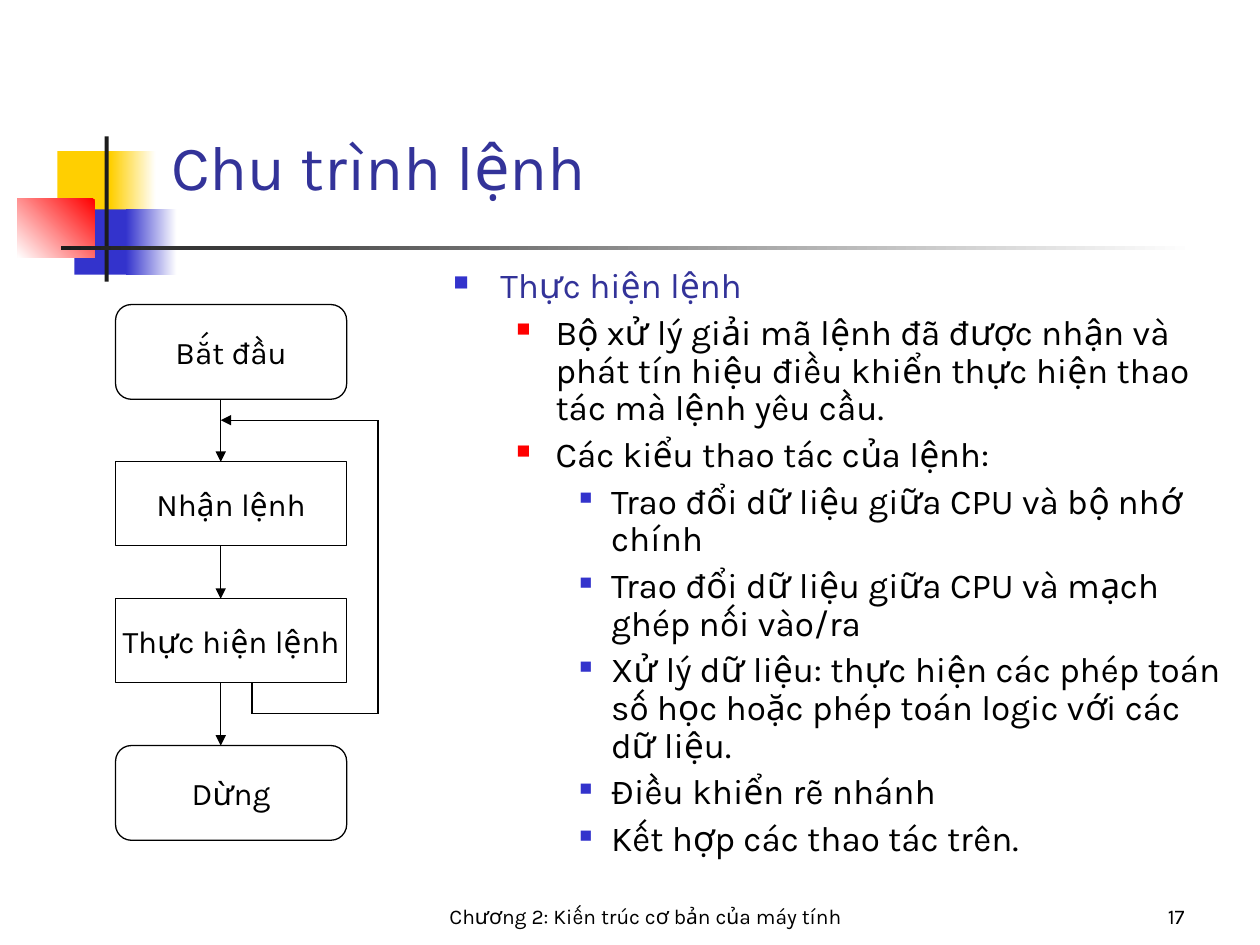
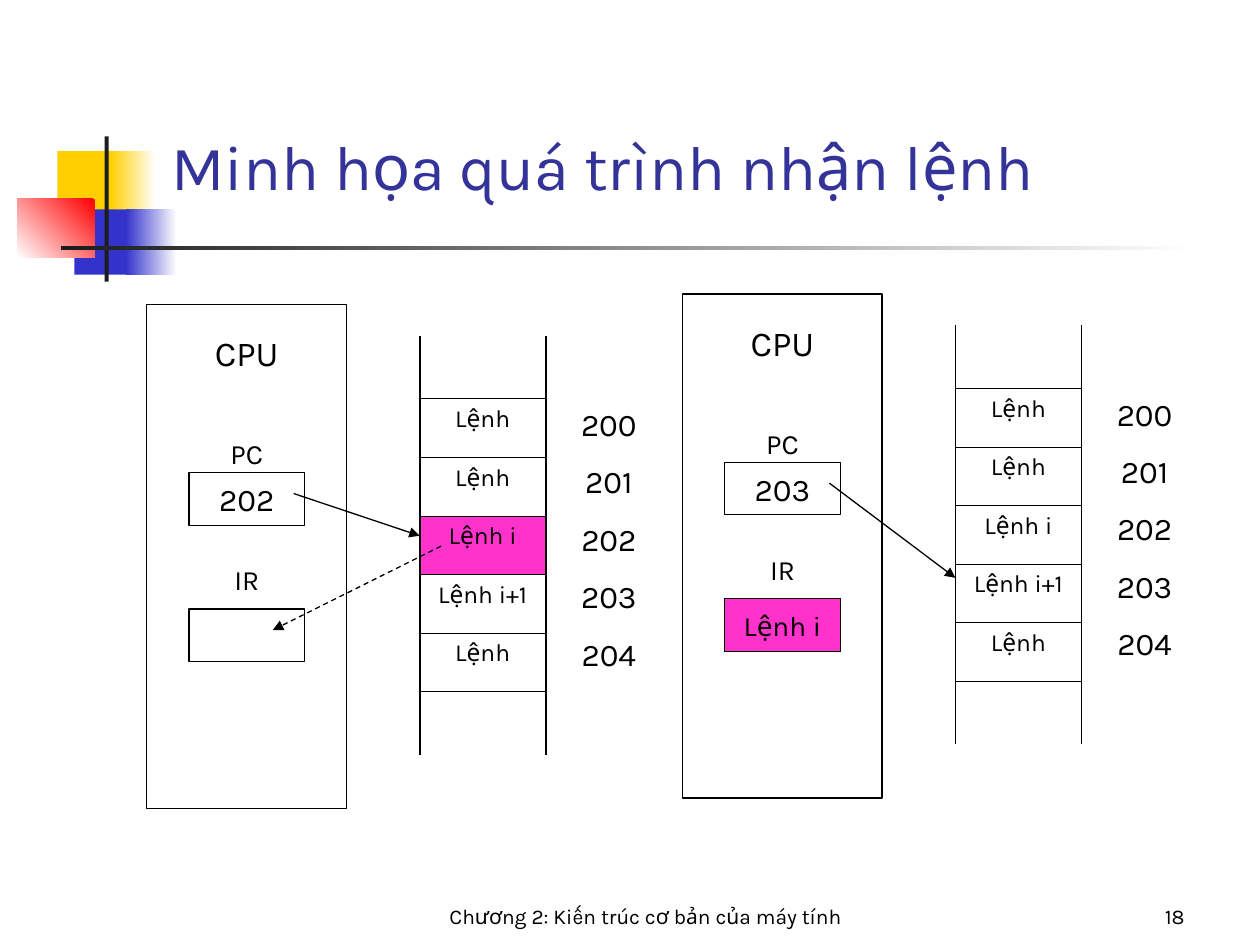
from itertools import pairwise

from lxml.etree import SubElement as Sub
from pptx import Presentation
from pptx.dml.color import RGBColor as RGB
from pptx.enum.dml import MSO_LINE as DASH
from pptx.enum.shapes import MSO_CONNECTOR as CONN, MSO_SHAPE as SHAPE
from pptx.enum.text import MSO_ANCHOR as ANCHOR, PP_ALIGN as ALIGN
from pptx.oxml.ns import qn
from pptx.util import Cm, Pt

FONT = "Karla"
INK = {
    "white": "FFFFFF", "black": "000000", "coal": "1C1C1C", "navy": "333399",
    "blue": "3333CC", "red": "FF0000", "gold": "FFCF01", "pink": "FF33CC",
}
FOOTER = "Chương 2: Kiến trúc cơ bản của máy tính"

# Left, top, width, height, colour and gradient angle (None is solid)
DECOR = [
    (1.16, 3.05, 1.22, 1.32, "gold", None),
    (2.23, 3.05, 0.91, 1.32, "gold", 0),
    (1.5, 4.22, 1.17, 1.32, "blue", None),
    (2.54, 4.22, 1.02, 1.32, "blue", 0),
    (0.35, 4.01, 1.56, 1.18, "red", 225),
    (2.11, 2.75, 0.08, 2.93, "coal", None),
    (1.23, 4.95, 22.86, 0.09, "coal", 0),
]

# Text colour, left margin, hanging indent, bullet colour and percent
LEVELS = [
    ("navy", 0.95, 0.95, "blue", 60),
    ("black", 2.06, 0.79, "red", 55),
    ("black", 3.18, 0.64, "blue", 50),
]

POINTS = [
    (0, "Thực hiện lệnh"),
    (1, "Bộ xử lý giải mã lệnh đã được nhận và phát tín hiệu "
        "điều khiển thực hiện thao tác mà lệnh yêu cầu."),
    (1, "Các kiểu thao tác của lệnh:"),
    (2, "Trao đổi dữ liệu giữa CPU và bộ nhớ chính"),
    (2, "Trao đổi dữ liệu giữa CPU và mạch ghép nối vào/ra"),
    (2, "Xử lý dữ liệu: thực hiện các phép toán số học "
        "hoặc phép toán logic với các dữ liệu."),
    (2, "Điều khiển rẽ nhánh"),
    (2, "Kết hợp các thao tác trên."),
]

# Flow steps: text, shape, top, height
STEPS = [
    ("Bắt đầu", SHAPE.ROUNDED_RECTANGLE, 6.14, 1.91),
    ("Nhận lệnh", SHAPE.RECTANGLE, 9.31, 1.69),
    ("Thực hiện lệnh", SHAPE.RECTANGLE, 12.07, 1.69),
    ("Dừng", SHAPE.ROUNDED_RECTANGLE, 15.03, 1.91),
]
LOOP = [(5.08, 13.76), (5.08, 14.39), (7.62, 14.39), (7.62, 8.47), (4.45, 8.47)]

CELLS = ["", "Lệnh", "Lệnh", "Lệnh i", "Lệnh i+1", "Lệnh", ""]


def rgb(name):
    return RGB.from_string(INK[name])


class Deck:
    def __init__(self):
        self.prs = Presentation()
        self.prs.slide_width, self.prs.slide_height = Cm(25.4), Cm(19.05)
        self.slide = None

    def page(self, title, num):
        """Start a slide with the shared decor, title and footer."""
        self.slide = self.prs.slides.add_slide(self.prs.slide_layouts[6])
        for x, y, w, h, tint, angle in DECOR:
            self.box(x, y, w, h, fill=tint, angle=angle, edge=False)
        low = ANCHOR.BOTTOM
        self.text(3.2, 2.54, 21.64, 1.69, [title], 36, "navy", ALIGN.LEFT, low)
        self.text(5.29, 17.57, 15.45, 1.27, [FOOTER], 12, anchor=low)
        self.text(21.17, 17.57, 2.96, 1.27, [str(num)], 12,
                  align=ALIGN.RIGHT, anchor=low)

    def style(self, par, size, tint="black", align=ALIGN.CENTER, gap=0):
        par.alignment = align
        par.space_before = Pt(gap)
        par.font.name, par.font.size = FONT, Pt(size)
        par.font.color.rgb = rgb(tint)

    def box(self, x, y, w, h, text="", kind=SHAPE.RECTANGLE, fill="white",
            angle=None, edge=True, size=18):
        shape = self.slide.shapes.add_shape(kind, Cm(x), Cm(y), Cm(w), Cm(h))
        shape.shadow.inherit = False
        if angle is None:
            shape.fill.solid()
            shape.fill.fore_color.rgb = rgb(fill)
        else:
            shape.fill.gradient()
            shape.fill.gradient_angle = angle
            for stop, tint in zip(shape.fill.gradient_stops, (fill, "white")):
                stop.color.rgb = rgb(tint)
        if edge:
            shape.line.color.rgb = rgb("black")
            shape.line.width = Pt(0.75)
        else:
            shape.line.fill.background()
        if text:
            frame = shape.text_frame
            frame.word_wrap = False
            frame.vertical_anchor = ANCHOR.MIDDLE
            frame.text = text
            self.style(frame.paragraphs[0], size)

    def text(self, x, y, w, h, lines, size, tint="black", align=ALIGN.CENTER,
             anchor=ANCHOR.TOP, gap=0):
        area = self.slide.shapes.add_textbox(Cm(x), Cm(y), Cm(w), Cm(h))
        frame = area.text_frame
        frame.word_wrap = True
        frame.vertical_anchor = anchor
        frame.text = "\n".join(lines)
        for par in frame.paragraphs:
            self.style(par, size, tint, align, gap)
        return frame

    def list(self, x, y, w, h, points):
        frame = self.text(x, y, w, h, [text for _, text in points], 20,
                          align=ALIGN.LEFT, gap=5)
        for par, (level, _) in zip(frame.paragraphs, points):
            tint, left, hang, mark, part = LEVELS[level]
            par.level = level
            par.line_spacing = 0.9
            par.font.color.rgb = rgb(tint)
            props = par._p.get_or_add_pPr()
            props.set("marL", str(Cm(left)))
            props.set("indent", str(-Cm(hang)))
            # Bullet tags stand before the font defaults
            last = props.find(qn("a:defRPr"))
            color = Sub(props, qn("a:buClr"))
            Sub(color, qn("a:srgbClr"), val=INK[mark])
            Sub(props, qn("a:buSzPct"), val=str(part * 1000))
            Sub(props, qn("a:buChar"), char="■")
            props.append(last)

    def line(self, start, end, head=True, dash=False):
        ends = [Cm(v) for v in (*start, *end)]
        link = self.slide.shapes.add_connector(CONN.STRAIGHT, *ends)
        link.line.color.rgb = rgb("black")
        link.line.width = Pt(0.75)
        if dash:
            link.line.dash_style = DASH.DASH
        props = link._element.spPr
        if head:
            Sub(props.find(qn("a:ln")), qn("a:tailEnd"), type="triangle")
        Sub(props, qn("a:effectLst"))

    def border(self, cell, side, width):
        props = cell._tc.get_or_add_tcPr()
        edge = Sub(props, qn("a:ln" + side), w=str(Pt(width)))
        if width:
            fill = Sub(edge, qn("a:solidFill"))
            Sub(fill, qn("a:srgbClr"), val=INK["black"])
        else:
            Sub(edge, qn("a:noFill"))

    def table(self, x, y, texts, hot):
        """A memory column, open at both ends; hot is the pink row."""
        count = len(texts)
        table = self.slide.shapes.add_table(
            count, 1, Cm(x), Cm(y), Cm(2.54), Cm(8.44)).table
        table.first_row = table.horz_banding = False
        for i, text in enumerate(texts):
            table.rows[i].height = Cm(1.18 if text else 1.27)
            cell = table.cell(i, 0)
            cell.text = text
            self.style(cell.text_frame.paragraphs[0], 14, gap=3.5)
            top, base = (0.45 if inner else 0 for inner in (i, i < count - 1))
            for side, width in zip("LRTB", (1.08, 1.08, top, base)):
                self.border(cell, side, width)
            if i == hot:
                cell.fill.solid()
                cell.fill.fore_color.rgb = rgb("pink")
            else:
                cell.fill.background()

    def cpu(self, x, y, count, ir="", hot=None):
        """A CPU with its PC and IR, beside the memory column."""
        self.box(x, y, 4.02, 10.16)
        self.box(x + 0.85, y + 3.39, 2.33, 1.06, count)
        self.box(x + 0.85, y + 6.14, 2.33, 1.06, ir,
                 fill="pink" if ir else "white", size=16)
        for name, drop, size in (("CPU", 0.42, 20), ("PC", 2.54, 16),
                                 ("IR", 5.08, 16)):
            self.text(x + 1.06, y + drop, 1.91, 1, [name], size)
        self.table(x + 5.5, y + 0.63, CELLS, hot)
        nums = [str(n) for n in range(200, 205)]
        self.text(x + 8.47, y + 1.9, 1.69, 5.66, nums, 18, gap=11.2)


def main():
    deck = Deck()

    # Instruction cycle
    deck.page("Chu trình lệnh", 17)
    deck.list(8.89, 5.29, 15.98, 12.5, POINTS)
    for text, kind, top, high in STEPS:
        deck.box(2.33, top, 4.66, high, text, kind)
    for (_, _, top, high), (_, _, below, _) in pairwise(STEPS):
        deck.line((4.45, top + high), (4.45, below))
    for start, end in pairwise(LOOP):
        deck.line(start, end, head=end == LOOP[-1])

    # Fetch, before and after
    deck.page("Minh họa quá trình nhận lệnh", 18)
    x, y = 2.96, 6.14
    deck.cpu(x, y, "202", hot=3)
    deck.line((x + 2.96, y + 3.81), (x + 5.5, y + 4.66))
    deck.line((x + 5.93, y + 4.87), (x + 2.54, y + 6.56), dash=True)
    x, y = x + 10.8, y - 0.21
    deck.cpu(x, y, "203", ir="Lệnh i")
    deck.line((x + 2.96, y + 3.81), (x + 5.5, y + 5.72))

    deck.prs.save("out.pptx")


if __name__ == "__main__":
    main()
